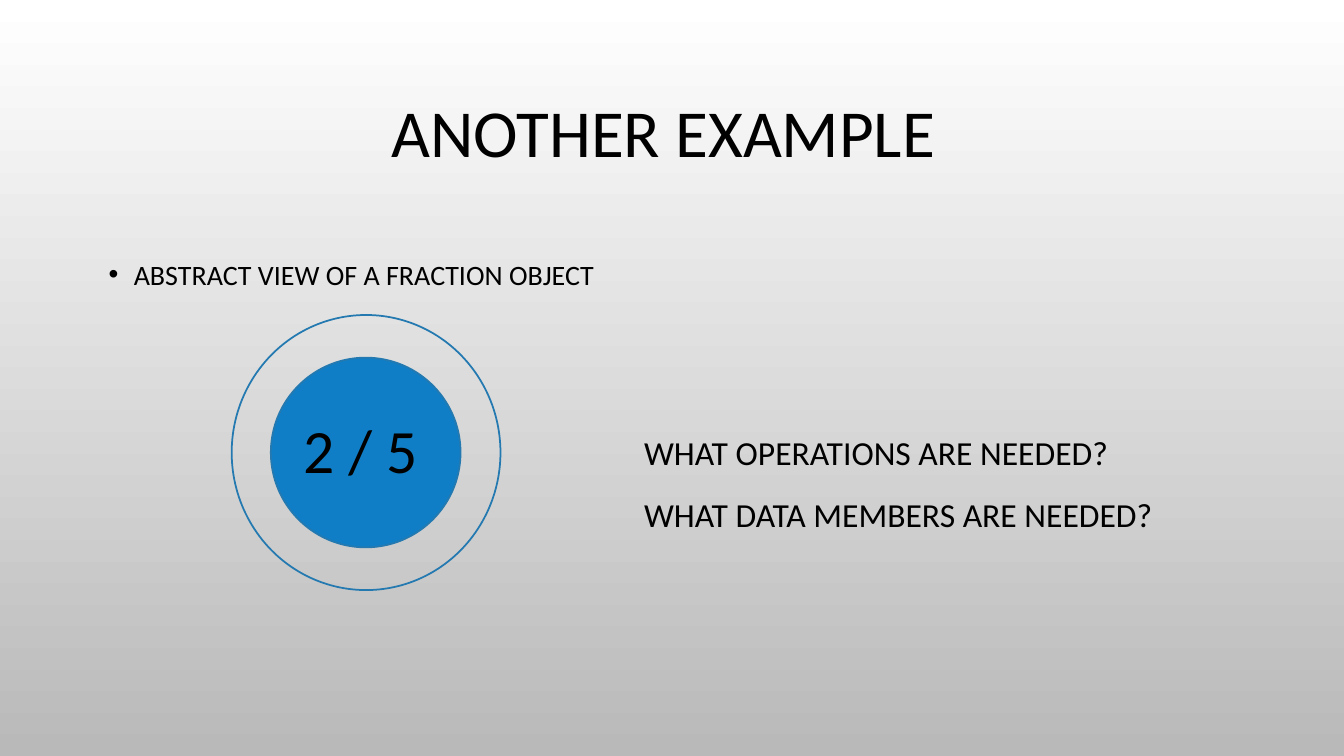
from dataclasses import dataclass

from lxml.etree import SubElement
from pptx import Presentation
from pptx.dml.color import RGBColor
from pptx.enum.shapes import MSO_SHAPE
from pptx.enum.text import MSO_ANCHOR, PP_ALIGN
from pptx.oxml.ns import qn
from pptx.util import Pt


@dataclass(frozen=True)
class Theme:
    font: str = "Calibri"
    ink: RGBColor = RGBColor(0, 0, 0)
    disc: RGBColor = RGBColor(0x10, 0x7E, 0xC6)
    outline: RGBColor = RGBColor(0x23, 0x79, 0xB0)
    background: tuple = (RGBColor(255, 255, 255), RGBColor(0xB9, 0xB9, 0xB9))
    title_size: int = 48
    bullet_size: int = 20
    question_size: int = 24
    fraction_size: int = 44
    line_width: float = 1.25


class SlideBuilder:
    def __init__(self, slide, theme):
        self.slide = slide
        self.theme = theme

    def background(self):
        fill = self.slide.background.fill
        fill.gradient()
        # Public angles run counter-clockwise, so 270 goes from top to bottom.
        fill.gradient_angle = 270
        for stop, color, position in zip(fill.gradient_stops, self.theme.background, (0, 1)):
            stop.color.rgb = color
            stop.position = position

    def style(self, paragraph, size):
        for run in paragraph.runs:
            run.font.name = self.theme.font
            run.font.size = Pt(size)
            run.font.color.rgb = self.theme.ink

    def title(self, words, left, top, width, height):
        heading = self.slide.shapes.title
        heading.left, heading.top = Pt(left), Pt(top)
        heading.width, heading.height = Pt(width), Pt(height)
        frame = heading.text_frame
        frame.text = words
        frame.vertical_anchor = MSO_ANCHOR.MIDDLE
        paragraph = frame.paragraphs[0]
        paragraph.alignment = PP_ALIGN.CENTER
        paragraph.line_spacing = 0.9
        self.style(paragraph, self.theme.title_size)

    def text(self, lines, left, top, width, height, size, wrap=True, bullet=False,
             line_spacing=1.0, space_before=0):
        box = self.slide.shapes.add_textbox(Pt(left), Pt(top), Pt(width), Pt(height))
        frame = box.text_frame
        frame.word_wrap = wrap
        frame.text = "\n".join(lines)
        for paragraph in frame.paragraphs:
            paragraph.line_spacing = line_spacing
            paragraph.space_before = Pt(space_before)
            self.style(paragraph, size)
            if bullet:
                self.bullet(paragraph)

    def bullet(self, paragraph, indent=18):
        properties = paragraph._p.get_or_add_pPr()
        properties.set("marL", str(Pt(indent)))
        properties.set("indent", str(-Pt(indent)))
        SubElement(properties, qn("a:buFont"), typeface="Arial")
        SubElement(properties, qn("a:buChar"), char="•")

    def ellipse(self, left, top, width, height, fill=None):
        oval = self.slide.shapes.add_shape(
            MSO_SHAPE.OVAL, Pt(left), Pt(top), Pt(width), Pt(height))
        oval.shadow.inherit = False
        if fill is None:
            oval.fill.background()
        else:
            oval.fill.solid()
            oval.fill.fore_color.rgb = fill
        oval.line.color.rgb = self.theme.outline
        oval.line.width = Pt(self.theme.line_width)


def main():
    theme = Theme()
    deck = Presentation()
    deck.slide_width, deck.slide_height = Pt(960), Pt(540)
    page = SlideBuilder(deck.slides.add_slide(deck.slide_layouts[5]), theme)

    page.background()
    page.title("ANOTHER EXAMPLE", 66, 34, 816, 126)
    page.text(["ABSTRACT VIEW OF A FRACTION OBJECT"], 70.5, 175.5, 382.5, 294.5,
              theme.bullet_size, bullet=True, line_spacing=1.2, space_before=10)
    page.text(["WHAT OPERATIONS ARE NEEDED?", "WHAT DATA MEMBERS ARE NEEDED?"],
              453, 299, 402, 157, theme.question_size, line_spacing=1.2, space_before=10)
    page.ellipse(193.5, 255.5, 135.5, 135.5, fill=theme.disc)
    page.text(["2 / 5"], 209.5, 291, 110, 60.5, theme.fraction_size, wrap=False)
    page.ellipse(165.5, 225, 192, 196.5)

    deck.save("out.pptx")


if __name__ == "__main__":
    main()
